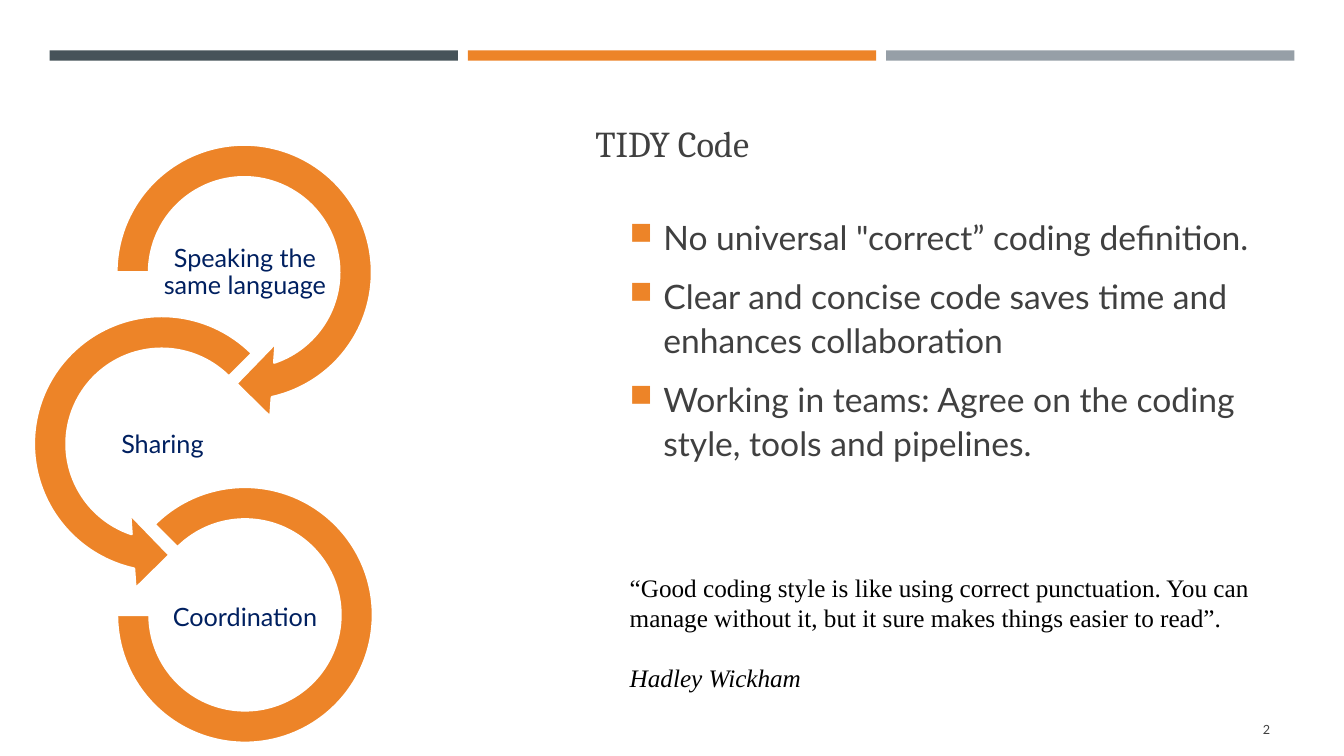
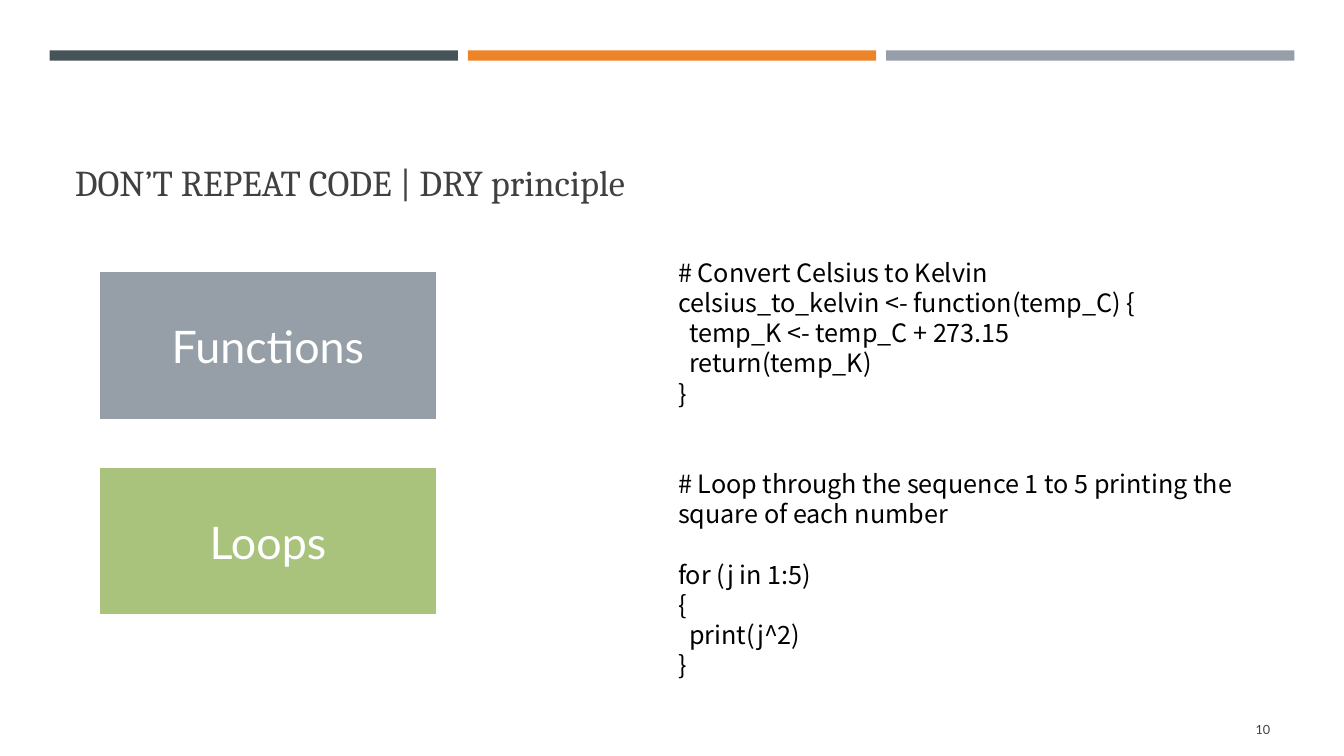
"""Builds two slides on coding style: tidy code and the DRY principle."""
from dataclasses import dataclass, field
from typing import Any

from lxml import etree
from pptx import Presentation
from pptx.dml.color import RGBColor
from pptx.enum.shapes import MSO_SHAPE
from pptx.enum.text import MSO_ANCHOR, MSO_AUTO_SIZE, PP_ALIGN
from pptx.oxml.ns import qn
from pptx.util import Cm, Pt

RECTANGLE = MSO_SHAPE.RECTANGLE
RIGHT_LOOP = MSO_SHAPE.CIRCULAR_ARROW
LEFT_LOOP = MSO_SHAPE.LEFT_CIRCULAR_ARROW
OPEN_RING = MSO_SHAPE.BLOCK_ARC
TOP, MIDDLE, BOTTOM = MSO_ANCHOR.TOP, MSO_ANCHOR.MIDDLE, MSO_ANCHOR.BOTTOM
LEFT, CENTER, RIGHT = PP_ALIGN.LEFT, PP_ALIGN.CENTER, PP_ALIGN.RIGHT

SLATE, ORANGE, GREY, GREEN = "465359", "ED8428", "969FA7", "A9C37C"
WHITE, BLACK, CHARCOAL, NAVY = "FFFFFF", "000000", "404040", "002060"
SLIDE_WIDTH, SLIDE_HEIGHT = 33.87, 19.05
CODE_INDENT = 0.28


@dataclass(frozen=True)
class Frame:
    """Place and size in centimetres."""
    left: float
    top: float
    width: float
    height: float


@dataclass(frozen=True)
class TextStyle:
    """Font and paragraph format shared by the text of one frame."""
    font: str
    size: float
    color: str
    align: Any = LEFT
    anchor: Any = TOP
    inset: float | None = None
    bullet: str = ""
    spacing: dict = field(default_factory=dict)


@dataclass(frozen=True)
class Line:
    """One paragraph, with what sets it apart from its neighbours."""
    text: str
    italic: bool = False
    indent: float = 0
    spacing: dict = field(default_factory=dict)


@dataclass(frozen=True)
class Loop:
    """One ring of the chain and the position of its label."""
    label: str
    kind: Any
    frame: Frame
    adjustments: tuple
    label_left: float
    label_top: float


TITLE_FRAME = Frame(1.63, 1.96, 30.63, 3.3)
NUMBER_FRAME = Frame(29.34, 17.86, 2.92, 1.02)
BODY_FRAME = Frame(15.62, 5.23, 16.94, 7.72)
QUOTE_FRAME = Frame(15.62, 14.3, 16.94, 3.33)
CODE_FRAME = Frame(16.84, 6.35, 16.43, 11.51)

NUMBER_STYLE = TextStyle("Lato", 9, CHARCOAL, RIGHT, MIDDLE)
BODY_STYLE = TextStyle(
    "Lato", 24, CHARCOAL, bullet="\u25a0",
    spacing={"line_spacing": 1.1, "space_before": Pt(4.5), "space_after": Pt(6)})
LABEL_STYLE = TextStyle("Lato", 18, NAVY, CENTER, MIDDLE, 0.03,
                        spacing={"line_spacing": 0.9})
QUOTE_STYLE = TextStyle("Times New Roman", 18, BLACK)
CODE_STYLE = TextStyle("Noto Sans CJK JP", 18, BLACK)
TOPIC_STYLE = TextStyle("Lato", 32, WHITE, CENTER, MIDDLE)

BULLETS = [
    Line('No universal "correct” coding definition.'),
    Line("Clear and concise code saves time and enhances collaboration"),
    Line("Working in teams: Agree on the coding style, tools and pipelines."),
]
QUOTE = [
    Line("“Good coding style is like using correct punctuation. You can manage "
         "without it, but it sure makes things easier to read”.",
         spacing={"space_after": Pt(21)}),
    Line("Hadley Wickham", italic=True),
]
LOOPS = [
    Loop("Speaking the same language", RIGHT_LOOP, Frame(2.41, 3.12, 7.49, 7.49),
         (0.11, 11.42, 45, 108, 0.125), 4.09, 5.84),
    Loop("Sharing", LEFT_LOOP, Frame(0.33, 7.44, 7.49, 7.49),
         (0.11, 11.42, 63, 189, 0.125), 2.01, 10.19),
    Loop("Coordination", OPEN_RING, Frame(2.95, 12.27, 6.45, 6.45),
         (135, 108, 0.127), 4.09, 14.53),
]
CODE = [
    Line("# Convert Celsius to Kelvin"),
    Line("celsius_to_kelvin <- function(temp_C) {"),
    Line("temp_K <- temp_C + 273.15", indent=CODE_INDENT),
    Line("return(temp_K)", indent=CODE_INDENT),
    Line("}"),
    Line("# Loop through the sequence 1 to 5 printing the square of each number",
         spacing={"space_before": Pt(43)}),
    Line("for (j in 1:5)", spacing={"space_before": Pt(21.5)}),
    Line("{"),
    Line("print(j^2)", indent=CODE_INDENT),
    Line("}"),
]
TOPICS = [("Functions", GREY), ("Loops", GREEN)]


def rgb(value: str) -> RGBColor:
    """Turn a hex string into a colour."""
    return RGBColor.from_string(value)


def set_all(target: Any, values: dict) -> None:
    """Set every attribute named in a dict."""
    for name, value in values.items():
        setattr(target, name, value)


def measures(frame: Frame) -> tuple:
    """Give the four lengths of a frame."""
    return Cm(frame.left), Cm(frame.top), Cm(frame.width), Cm(frame.height)


def add_bullet(para: Any, character: str) -> None:
    """Give a paragraph an orange hanging bullet."""
    properties = para._p.get_or_add_pPr()
    properties.set("marL", str(Cm(0.85)))
    properties.set("indent", str(-Cm(0.85)))
    color = etree.SubElement(properties, qn("a:buClr"))
    etree.SubElement(color, qn("a:srgbClr"), val=ORANGE)
    etree.SubElement(properties, qn("a:buSzPct"), val="92000")
    etree.SubElement(properties, qn("a:buChar"), char=character)


def write(shape: Any, lines: list[Line], style: TextStyle) -> None:
    """Fill a shape with styled paragraphs."""
    box = shape.text_frame
    set_all(box, {"word_wrap": True, "auto_size": MSO_AUTO_SIZE.NONE,
                  "vertical_anchor": style.anchor})
    if style.inset is not None:
        sides = ("left", "top", "right", "bottom")
        set_all(box, {f"margin_{side}": Cm(style.inset) for side in sides})
    for index, line in enumerate(lines):
        para = box.add_paragraph() if index else box.paragraphs[0]
        set_all(para, {"alignment": style.align, **style.spacing, **line.spacing})
        if style.bullet:
            add_bullet(para, style.bullet)
        if line.indent:
            para._p.get_or_add_pPr().set("marL", str(Cm(line.indent)))
        span = para.add_run()
        span.text = line.text
        set_all(span.font, {"name": style.font, "size": Pt(style.size),
                            "italic": line.italic})
        span.font.color.rgb = rgb(style.color)


def add_text(page: Any, frame: Frame, lines: list[Line], style: TextStyle) -> None:
    """Add a text box."""
    write(page.shapes.add_textbox(*measures(frame)), lines, style)


def add_block(page: Any, kind: Any, frame: Frame, fill: str,
              outline: float = 0) -> Any:
    """Add a flat shape, with a white outline if a width is given."""
    shape = page.shapes.add_shape(kind, *measures(frame))
    shape.shadow.inherit = False
    shape.fill.solid()
    shape.fill.fore_color.rgb = rgb(fill)
    if outline:
        shape.line.color.rgb = rgb(WHITE)
        shape.line.width = Pt(outline)
    else:
        shape.line.fill.background()
    return shape


def add_page(deck: Any, title: str, number: int, align: Any, anchor: Any) -> Any:
    """Add a slide with the top bars, the title and the slide number."""
    page = deck.slides.add_slide(deck.slide_layouts.get_by_name("Title Only"))
    for index, color in enumerate((SLATE, ORANGE, GREY)):
        add_block(page, RECTANGLE,
                  Frame(1.25 + index * 10.54, 1.27, 10.29, 0.26), color)
    heading = page.shapes.title
    places = ("left", "top", "width", "height")
    set_all(heading, dict(zip(places, measures(TITLE_FRAME))))
    write(heading, [Line(title)],
          TextStyle("Cambria", 26, CHARCOAL, align, anchor))
    add_text(page, NUMBER_FRAME, [Line(str(number))], NUMBER_STYLE)
    return page


def add_loop(page: Any, loop: Loop) -> None:
    """Add one ring of the chain with its label."""
    ring = add_block(page, loop.kind, loop.frame, ORANGE, 1.75)
    for index, value in enumerate(loop.adjustments):
        ring.adjustments[index] = value
    add_text(page, Frame(loop.label_left, loop.label_top, 4.17, 2.08),
             [Line(loop.label)], LABEL_STYLE)


def build_tidy_page(deck: Any) -> None:
    """Build the slide on tidy code."""
    page = add_page(deck, "TIDY Code", 2, CENTER, MIDDLE)
    add_text(page, BODY_FRAME, BULLETS, BODY_STYLE)
    for loop in LOOPS:
        add_loop(page, loop)
    add_text(page, QUOTE_FRAME, QUOTE, QUOTE_STYLE)


def build_dry_page(deck: Any) -> None:
    """Build the slide on not repeating code."""
    page = add_page(deck, "DON’T REPEAT CODE | DRY principle", 10, LEFT, BOTTOM)
    add_text(page, CODE_FRAME, CODE, CODE_STYLE)
    for index, (topic, color) in enumerate(TOPICS):
        frame = Frame(2.49, 6.83 + index * 4.93, 8.53, 3.76)
        write(add_block(page, RECTANGLE, frame, color, 2), [Line(topic)], TOPIC_STYLE)


def main() -> None:
    """Build and save the deck."""
    deck = Presentation()
    set_all(deck, {"slide_width": Cm(SLIDE_WIDTH), "slide_height": Cm(SLIDE_HEIGHT)})
    build_tidy_page(deck)
    build_dry_page(deck)
    deck.save("out.pptx")


main()
